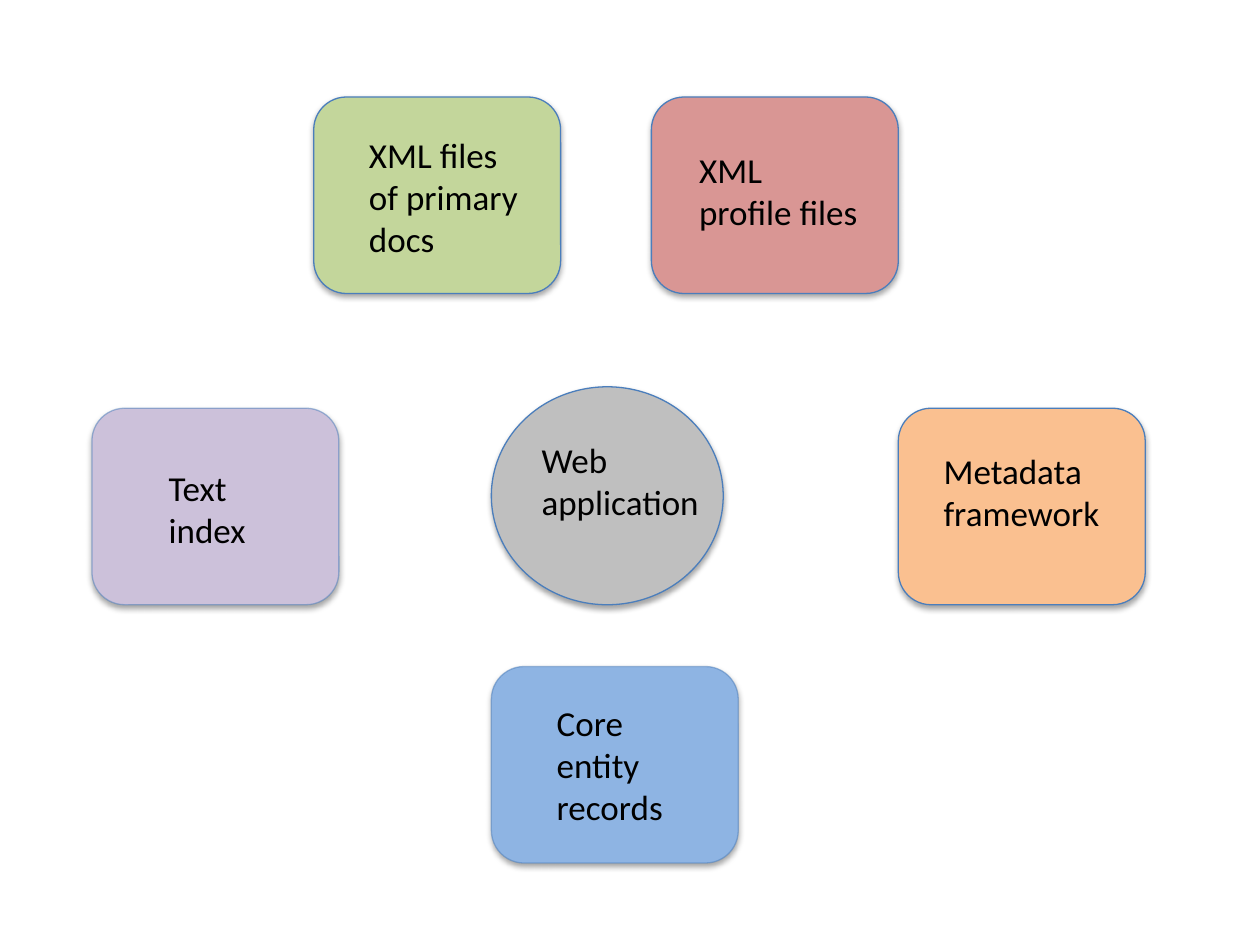
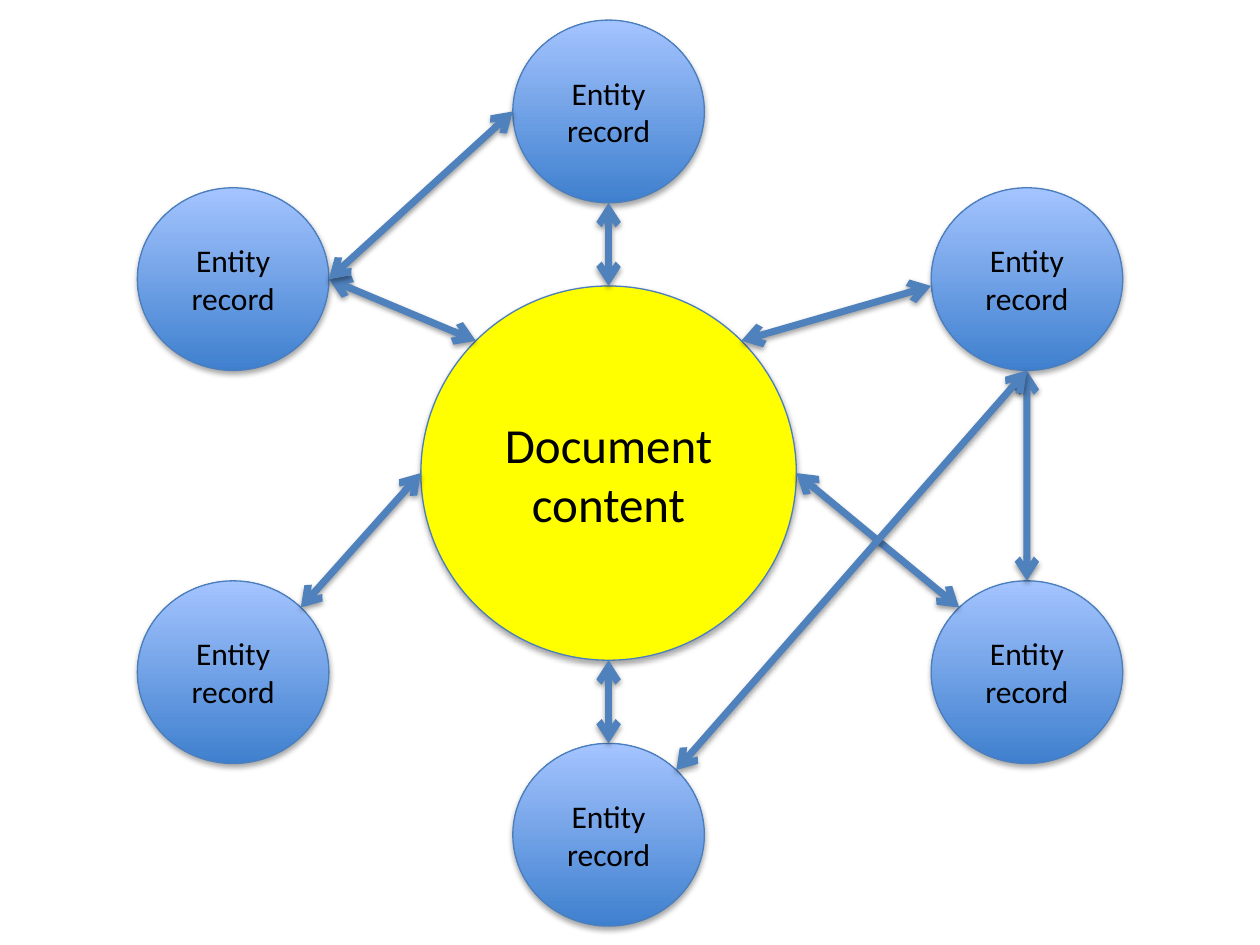
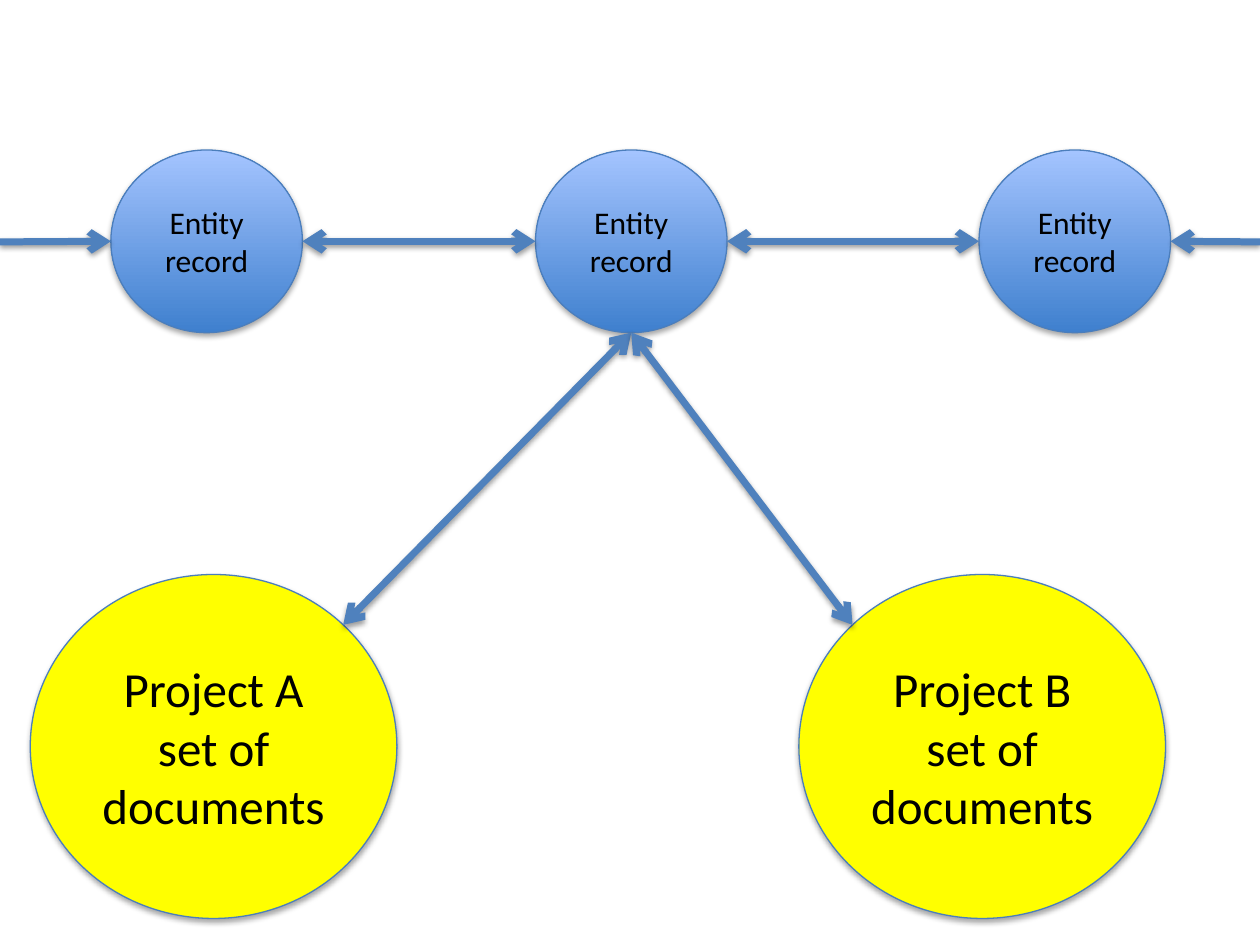
import math

import pptx
import pptx.dml.color
import pptx.enum.shapes
import pptx.enum.text
import pptx.oxml
import pptx.oxml.ns
import pptx.oxml.xmlchemy
import pptx.util

Inches, Pt = pptx.util.Inches, pptx.util.Pt
RGBColor = pptx.dml.color.RGBColor
MSO_SHAPE = pptx.enum.shapes.MSO_SHAPE
PP_ALIGN = pptx.enum.text.PP_ALIGN
qn = pptx.oxml.ns.qn

FONT = "Calibri"
BLACK = RGBColor(0x00, 0x00, 0x00)
OUTLINE = RGBColor(0x4B, 0x7E, 0xBC)
ARROW = RGBColor(0x4F, 0x81, 0xBD)
RECORD_BOTTOM = RGBColor(0x3F, 0x80, 0xCE)
RECORD_TOP = RGBColor(0xA4, 0xC4, 0xFF)
YELLOW = RGBColor(0xFF, 0xFF, 0x00)
GREEN = RGBColor(0xC3, 0xD6, 0x9B)
RED = RGBColor(0xD9, 0x96, 0x94)
PURPLE = RGBColor(0xCC, 0xC1, 0xDA)
ORANGE = RGBColor(0xFA, 0xC0, 0x90)
BLUE = RGBColor(0x8E, 0xB4, 0xE3)
GREY = RGBColor(0xBF, 0xBF, 0xBF)

COMPONENT_SIZE = (1.96, 1.56)
APPLICATION_SIZE = (1.84, 1.73)
RECORD_SIZE = (1.52, 1.45)
PROJECT_SIZE = (2.91, 2.73)
RECORD_TEXT = "Entity\nrecord"

# Label, label box, outline, position, size, fill, line opacity in percent
ROUNDED, ELLIPSE = MSO_SHAPE.ROUNDED_RECTANGLE, MSO_SHAPE.OVAL
COMPONENTS = [
    ("XML files of primary docs", (2.83, 1.01, 1.48, 1.11),
     ROUNDED, (2.49, 0.77), COMPONENT_SIZE, GREEN, 100),
    ("XML profile files", (5.45, 1.13, 1.48, 0.77),
     ROUNDED, (5.17, 0.77), COMPONENT_SIZE, RED, 100),
    ("Text index", (1.24, 3.65, 1.25, 0.77),
     ROUNDED, (0.73, 3.24), COMPONENT_SIZE, PURPLE, 50),
    ("Metadata framework", (7.39, 3.52, 1.58, 0.77),
     ROUNDED, (7.13, 3.24), COMPONENT_SIZE, ORANGE, 100),
    ("Core entity records", (4.32, 5.52, 1.25, 1.11),
     ROUNDED, (3.9, 5.29), COMPONENT_SIZE, BLUE, 50),
    ("Web application", (4.2, 3.43, 1.54, 0.77),
     ELLIPSE, (3.9, 3.07), APPLICATION_SIZE, GREY, 100),
]

# Arrow ends are either (node, compass side) or a plain (x, y) point.
DOCUMENT_MAP = {
    "hubs": {"document": ("Document content", (3.34, 2.27), (2.98, 2.97))},
    "records": {
        "top": (4.07, 0.16),
        "upper left": (1.09, 1.49),
        "upper right": (7.39, 1.49),
        "bottom": (4.07, 5.9),
        "lower left": (1.09, 4.61),
        "lower right": (7.39, 4.61),
    },
    "arrows": [
        (("document", "NE"), (7.39, 2.27)),
        (("document", "E"), ("lower right", "NW")),
        (("bottom", "N"), ("document", "S")),
        (("document", "N"), ("top", "S")),
        (("upper left", "E"), ("document", "NW")),
        (("lower left", "NE"), ("document", "W")),
        (("lower right", "N"), ("upper right", "S")),
        (("bottom", "NE"), ("upper right", "S")),
        (("upper left", "E"), ("top", "W")),
    ],
}
PROJECT_MAP = {
    "hubs": {
        "A": ("Project A set of documents", (0.24, 4.56), PROJECT_SIZE),
        "B": ("Project B set of documents", (6.34, 4.56), PROJECT_SIZE),
    },
    "records": {"left": (0.88, 1.19), "middle": (4.25, 1.19), "right": (7.77, 1.19)},
    "arrows": [
        (("middle", "E"), ("right", "W")),
        (("left", "E"), ("middle", "W")),
        (("A", "NE"), ("middle", "S")),
        (("middle", "S"), ("B", "NW")),
        ((0, 1.92), ("left", "W")),
        ((10, 1.92), ("right", "E")),
    ],
}
SIDE_ANGLES = {side: math.radians(45 * step) for step, side in
               enumerate(["E", "NE", "N", "NW", "W", "SW", "S", "SE"])}


def write_text(frame, text, size, align):
    frame.word_wrap = True
    frame.text = text
    for paragraph in frame.paragraphs:
        paragraph.alignment = align
        paragraph.font.name = FONT
        paragraph.font.size = Pt(size)
        paragraph.font.color.rgb = BLACK


def add_outlined(slide, outline, position, size, fill=None):
    """Add a shape with the theme's soft shadow; without a fill it gets the record gradient."""
    shape = slide.shapes.add_shape(outline, *map(Inches, position + size))
    if fill is None:
        shape.fill.gradient()
        shape.fill.gradient_angle = 90
        for stop, colour in zip(shape.fill.gradient_stops, (RECORD_BOTTOM, RECORD_TOP)):
            stop.color.rgb = colour
    else:
        shape.fill.solid()
        shape.fill.fore_color.rgb = fill
    shape.line.color.rgb = OUTLINE
    shape.line.width = Pt(0.75)
    return shape


def set_line_opacity(shape, percent):
    colour = shape.element.spPr.find(qn("a:ln")).find(".//" + qn("a:srgbClr"))
    alpha = pptx.oxml.xmlchemy.OxmlElement("a:alpha")
    alpha.set("val", str(percent * 1000))
    colour.append(alpha)


def add_node(slide, text, position, size, text_size, fill=None):
    """Add a labelled ellipse and return its left, top, width and height."""
    node = add_outlined(slide, ELLIPSE, position, size, fill)
    node.text_frame.vertical_anchor = pptx.enum.text.MSO_ANCHOR.MIDDLE
    write_text(node.text_frame, text, text_size, PP_ALIGN.CENTER)
    return position + size


def locate(end, nodes):
    """Turn an arrow end into a point, on the rim of its ellipse if it names a node."""
    if end[0] not in nodes:
        return end
    left, top, width, height = nodes[end[0]]
    angle = SIDE_ANGLES[end[1]]
    return (left + width / 2 * (1 + math.cos(angle)),
            top + height / 2 * (1 - math.sin(angle)))


def add_arrow(slide, start, finish, nodes):
    """Join two ends; the start has an arrowhead only if it touches a node."""
    points = locate(start, nodes) + locate(finish, nodes)
    arrow = slide.shapes.add_connector(
        pptx.enum.shapes.MSO_CONNECTOR.STRAIGHT, *map(Inches, points))
    arrow.line.color.rgb = ARROW
    arrow.line.width = Pt(4)
    line = arrow.element.spPr.find(qn("a:ln"))
    for tag in (["a:headEnd"] if start[0] in nodes else []) + ["a:tailEnd"]:
        arrowhead = pptx.oxml.xmlchemy.OxmlElement(tag)
        arrowhead.set("type", "arrow")
        line.append(arrowhead)


def draw_components(slide):
    for label, label_box, outline, position, size, fill, opacity in COMPONENTS:
        component = add_outlined(slide, outline, position, size, fill)
        if opacity < 100:
            set_line_opacity(component, opacity)
        caption = slide.shapes.add_textbox(*map(Inches, label_box)).text_frame
        write_text(caption, label, 20, PP_ALIGN.LEFT)
        caption.auto_size = pptx.enum.text.MSO_AUTO_SIZE.SHAPE_TO_FIT_TEXT


def draw_map(slide, content):
    nodes = {}
    for name, (text, position, size) in content["hubs"].items():
        nodes[name] = add_node(slide, text, position, size, 28, YELLOW)
    for name, position in content["records"].items():
        nodes[name] = add_node(slide, RECORD_TEXT, position, RECORD_SIZE, 18)
    for start, finish in content["arrows"]:
        add_arrow(slide, start, finish, nodes)


def main():
    deck = pptx.Presentation()
    deck.slide_width, deck.slide_height = Inches(10), Inches(7.5)
    blank = deck.slide_layouts[6]
    draw_components(deck.slides.add_slide(blank))
    for content in (DOCUMENT_MAP, PROJECT_MAP):
        draw_map(deck.slides.add_slide(blank), content)
    deck.save("out.pptx")


if __name__ == "__main__":
    main()
